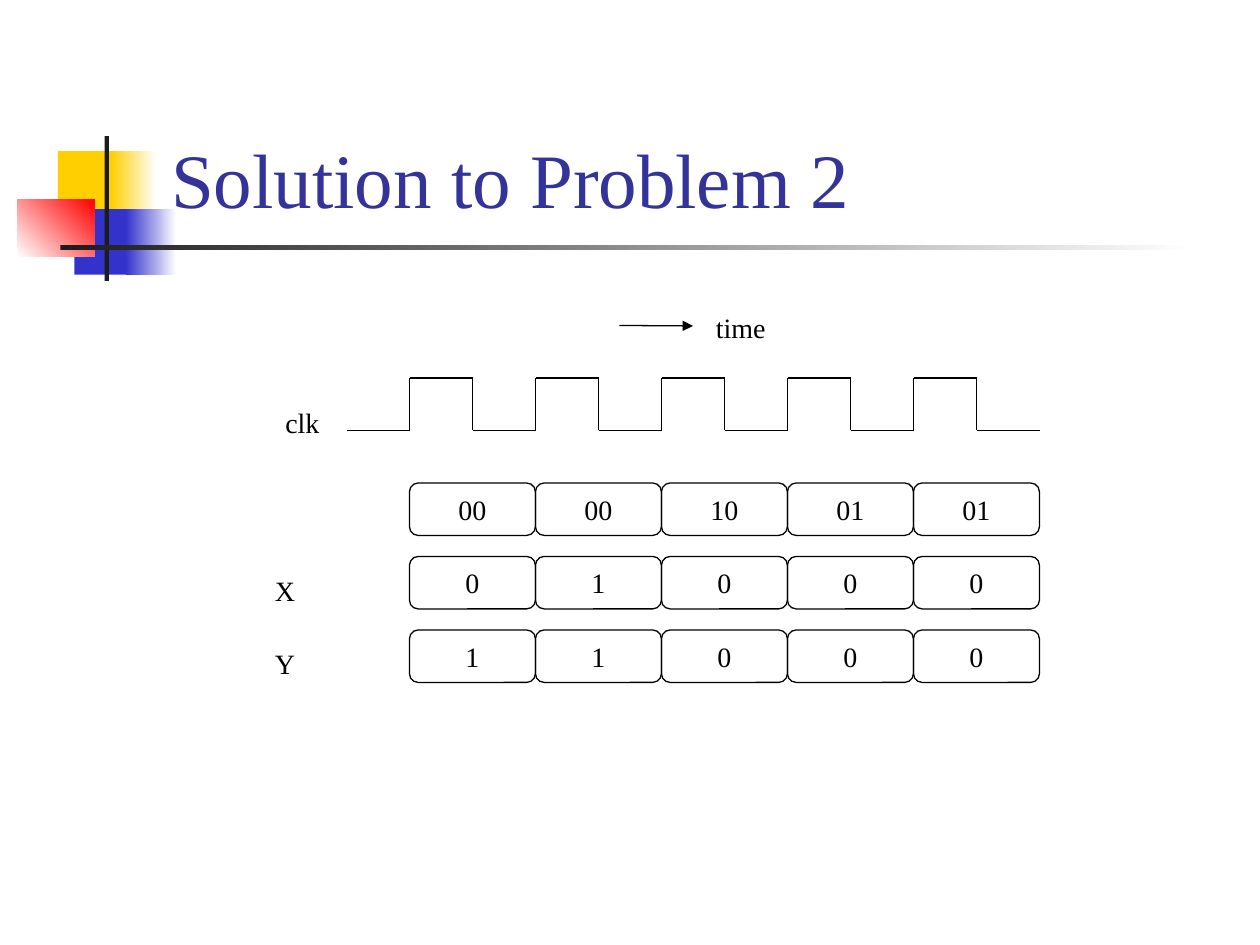
from itertools import pairwise

from lxml.etree import SubElement
from pptx import Presentation
from pptx.dml.color import RGBColor
from pptx.enum.shapes import MSO_CONNECTOR as Connector, MSO_SHAPE as Shape
from pptx.enum.text import MSO_ANCHOR as Anchor, PP_ALIGN as Align
from pptx.oxml.ns import qn
from pptx.util import Inches, Pt

# Content; every length is in grid units, with 120 columns by 90 rows
COLUMNS, ROWS = 120, 90
TITLE = ("Solution to Problem 2", (15.12, 2.76, 102.24, 19.2))
LABELS = [
    ("clk", (26, 38, 5.76, 4.44)),
    ("time", (67, 29, 7.2, 4.44)),
    ("X", (25, 54, 4.32, 4.44)),
    ("Y", (25, 61, 4.32, 4.44)),
]
SIGNALS = [
    ["00", "00", "10", "01", "01"],
    ["0", "1", "0", "0", "0"],
    ["1", "1", "0", "0", "0"],
]
TIME_ARROW = ((59, 31), (66, 31.04))
CELL_LEFT, CELL_TOP, CELL_WIDTH, CELL_HEIGHT, ROW_PITCH = 39, 46, 12, 5, 7
CLOCK_HIGH, CLOCK_LOW, HALF_CYCLE = 36, 41, CELL_WIDTH / 2

THEME = {
    "font": "Times New Roman", "title_size": 44, "text_size": 16, "line": 0.75,
    "title": "333399", "ink": "000000", "paper": "FFFFFF",
    "yellow": "FFCF01", "blue": "3333CC", "red": "FF0000", "dark": "1C1C1C",
}
# Box, colours (two make a gradient), counter-clockwise gradient angle
ORNAMENTS = [
    ((5.52, 14.4, 5.76, 6.24), ["yellow"], 0),
    ((10.56, 14.4, 4.32, 6.24), ["yellow", "paper"], 0),
    ((7.08, 19.92, 5.52, 6.24), ["blue"], 0),
    ((12, 19.92, 4.8, 6.24), ["blue", "paper"], 0),
    ((1.68, 18.96, 7.32, 5.52), ["paper", "red"], 45),
    ((9.96, 12.96, 0.42, 13.8), ["dark"], 0),
    ((5.76, 23.35, 108, 0.42), ["dark", "paper"], 0),
]

deck = Presentation()
deck.slide_width, deck.slide_height = Inches(10), Inches(7.5)
shapes = deck.slides.add_slide(deck.slide_layouts[6]).shapes


def color(name):
    return RGBColor.from_string(THEME[name])


def place(lengths):
    return [round(n * deck.slide_width / COLUMNS) if i % 2 == 0
            else round(n * deck.slide_height / ROWS)
            for i, n in enumerate(lengths)]


def set_all(target, values):
    for name, value in values.items():
        setattr(target, name, value)


def write(holder, text, size="text_size", ink="ink", align=Align.LEFT, **frame_format):
    frame = holder.text_frame
    set_all(frame, frame_format)
    paragraph = frame.paragraphs[0]
    paragraph.text, paragraph.alignment = text, align
    font = paragraph.runs[0].font
    set_all(font, {"name": THEME["font"], "size": Pt(THEME[size])})
    font.color.rgb = color(ink)


def add_block(kind, box):
    block = shapes.add_shape(kind, *place(box))
    block.shadow.inherit = False
    return block


def set_line(line):
    line.color.rgb, line.width = color("ink"), Pt(THEME["line"])


def add_line(start, end):
    connector = shapes.add_connector(Connector.STRAIGHT, *place(start + end))
    set_line(connector.line)
    properties = connector.element.spPr
    SubElement(properties, qn("a:effectLst"))
    return properties.find(qn("a:ln"))


# Corner ornament and title rule
for box, colors, angle in ORNAMENTS:
    ornament = add_block(Shape.RECTANGLE, box)
    ornament.line.fill.background()
    if len(colors) == 1:
        ornament.fill.solid()
        ornament.fill.fore_color.rgb = color(colors[0])
    else:
        ornament.fill.gradient()
        ornament.fill.gradient_angle = angle
        for stop, name in zip(ornament.fill.gradient_stops, colors):
            stop.color.rgb = color(name)

# Title and labels
title, title_box = TITLE
write(shapes.add_textbox(*place(title_box)), title, "title_size", "title",
      word_wrap=True, vertical_anchor=Anchor.BOTTOM)
for label, box in LABELS:
    write(shapes.add_textbox(*place(box)), label, word_wrap=False)

# Clock: low half cycle first, then one pulse per column
clock_points = []
for half in range(2 * len(SIGNALS[0]) + 1):
    level = CLOCK_HIGH if half % 2 else CLOCK_LOW
    start = CELL_LEFT + (half - 1) * HALF_CYCLE
    clock_points += [(start, level), (start + HALF_CYCLE, level)]
for start, end in pairwise(clock_points):
    add_line(start, end)

# Time arrow
SubElement(add_line(*TIME_ARROW), qn("a:tailEnd"), type="triangle")

# Signal values
for row, values in enumerate(SIGNALS):
    for column, value in enumerate(values):
        cell = add_block(Shape.ROUNDED_RECTANGLE, (
            CELL_LEFT + column * CELL_WIDTH, CELL_TOP + row * ROW_PITCH,
            CELL_WIDTH, CELL_HEIGHT))
        cell.fill.background()
        set_line(cell.line)
        write(cell, value, align=Align.CENTER, vertical_anchor=Anchor.MIDDLE)

deck.save("out.pptx")
